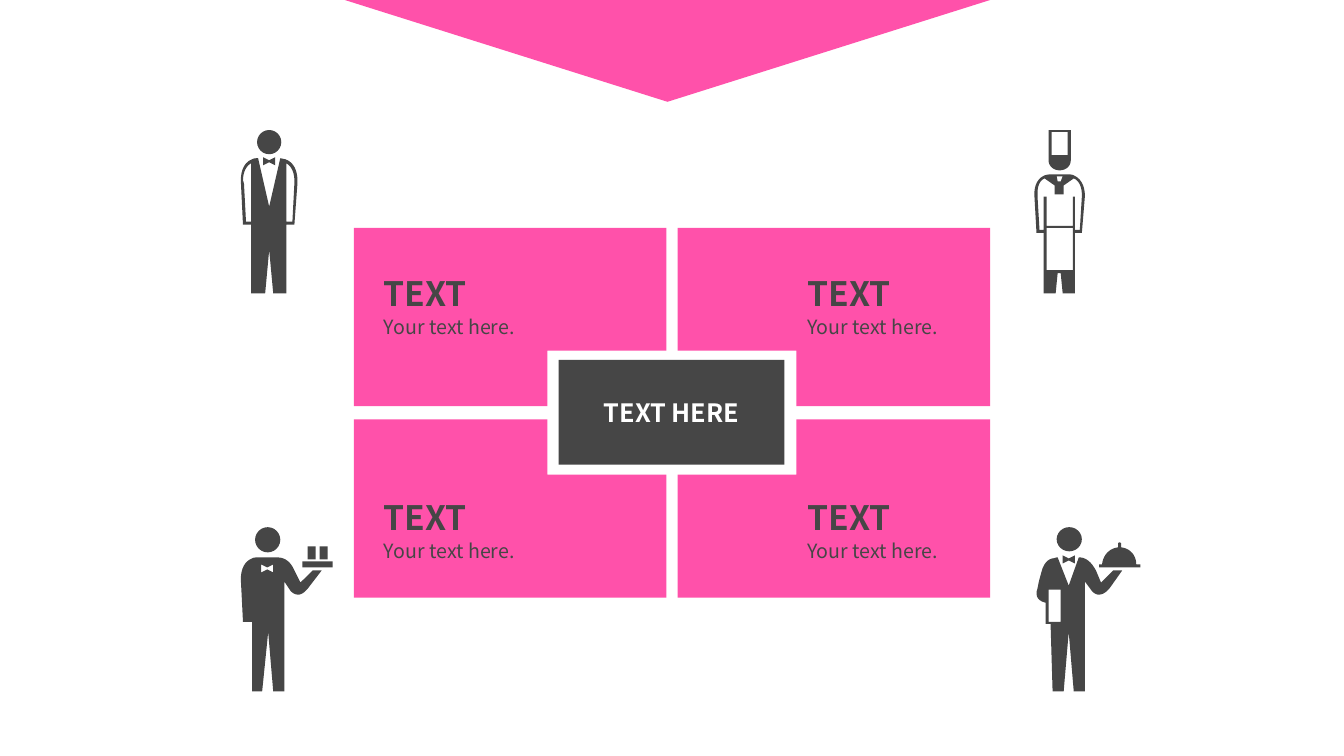
from dataclasses import dataclass
from pptx import Presentation
from pptx.dml.color import RGBColor
from pptx.enum.shapes import MSO_SHAPE as Preset
from pptx.enum.text import MSO_ANCHOR as Anchor, MSO_AUTO_SIZE as AutoSize, PP_ALIGN as Align
from pptx.util import Pt

PX = 9144
CURVE_STEPS = 10


@dataclass(frozen=True)
class Theme:
    pink: RGBColor = RGBColor(0xFF, 0x51, 0xAA)
    dark: RGBColor = RGBColor(0x46, 0x46, 0x46)
    white: RGBColor = RGBColor(0xFF, 0xFF, 0xFF)
    font: str = "Noto Sans CJK SC"
    heading: int = 24
    center: int = 18
    body: int = 14


THEME = Theme()

BOW_TIE = [(0, 0), (6, 3), (12, 0), (12, 8), (6, 5), (0, 8)]

WAITER_BODY = [
    [(46, 29), (41, 28), (30, 76), (19, 28), (17, 28, 15, 28, 13, 29),
     (0, 34, 2, 52, 2, 53), (4, 94), (12, 94), (12, 162), (26, 162), (30, 119),
     (34, 162), (47, 162), (47, 94), (55, 94), (58, 53), (58, 50), (58, 45, 57, 33, 46, 29)],
    [(7, 91), (5, 53), (4, 50), (4, 46, 5, 37, 12, 33), (12, 91)],
    [(55, 53), (53, 91), (47, 91), (47, 33), (54, 37, 55, 46, 55, 50)],
]

CHEF_HEAD = [
    [(38, 28), (38, 0), (16, 0), (16, 30), (16, 36, 21, 40, 27, 40), (33, 40, 38, 36, 38, 30)],
    [(19, 2), (35, 2), (35, 25), (19, 25)],
]
CHEF_BODY = [
    [(41, 45), (39, 44, 37, 44, 34, 44), (20, 44), (17, 44, 15, 44, 12, 45),
     (0, 50, 2, 66, 2, 66), (4, 102), (11, 102), (11, 162), (23, 162), (25, 142),
     (28, 142), (30, 162), (42, 162), (42, 102), (49, 102), (52, 66), (52, 66, 53, 50, 41, 45)],
    [(30, 46), (28, 51), (25, 51), (24, 46)],
    [(14, 139), (14, 97), (40, 97), (40, 139)],
    [(49, 66), (47, 99), (42, 99), (42, 66), (40, 66), (40, 95), (14, 95), (14, 66),
     (11, 66), (11, 99), (7, 99), (5, 66), (5, 64), (5, 60, 5, 51, 12, 48), (22, 55),
     (22, 64), (31, 64), (31, 55), (41, 48), (48, 51, 49, 60, 49, 64)],
]

BARTENDER_BODY = [
    [(73, 43), (61, 55), (55, 43), (50, 31, 42, 30, 37, 30), (21, 30),
     (17, 30, 15, 30, 13, 31), (0, 36, 2, 54, 2, 54), (4, 94), (13, 94), (13, 163),
     (23, 163), (29, 104), (34, 163), (45, 163), (45, 54), (51, 63),
     (51, 63, 54, 67, 59, 67), (64, 67, 69, 60, 69, 60), (82, 43)],
    [(x + 22, y + 37) for x, y in BOW_TIE],
]

BUTLER_BODY = [
    [(68, 55), (63, 43), (57, 32, 51, 30, 46, 30), (36, 58), (25, 30),
     (23, 30, 22, 31, 20, 31), (15, 32, 12, 36, 10, 41), (6, 54, 5, 61, 5, 61),
     (5, 61, 0, 72, 13, 75), (13, 96), (18, 96), (20, 163), (31, 163), (36, 104),
     (41, 163), (52, 163), (52, 54), (58, 62), (58, 62, 61, 67, 66, 67),
     (72, 67, 77, 60, 77, 60), (89, 43), (80, 43)],
    [(16, 62), (28, 62), (28, 94), (16, 94)],
]
DOME = [
    [(103, 37), (103, 28, 97, 21, 88, 20), (88, 16), (88, 16, 87, 15, 86, 15),
     (86, 15, 85, 16, 85, 16), (85, 20), (76, 21, 70, 28, 69, 37), (66, 37),
     (66, 40), (107, 40), (107, 37)],
]


def paint(shape, color):
    shape.shadow.inherit = False
    shape.fill.solid()
    shape.fill.fore_color.rgb = color
    shape.line.fill.background()
    return shape


def add_preset(shapes, preset, box, color):
    return paint(shapes.add_shape(preset, *(length * PX for length in box)), color)


def flatten(outline):
    points = []
    for node in outline:
        if len(node) == 2:
            points.append(node)
            continue
        ends = [points[-1], node[:2], node[2:4], node[4:]]
        for step in range(1, CURVE_STEPS + 1):
            t = step / CURVE_STEPS
            weights = ((1 - t) ** 3, 3 * t * (1 - t) ** 2, 3 * t * t * (1 - t), t ** 3)
            points.append(tuple(sum(w * end[axis] for w, end in zip(weights, ends))
                                for axis in (0, 1)))
    return points


def add_outline(shapes, origin, outlines, color):
    left, top = origin
    builder = None
    for outline in outlines:
        points = [((left + x) * PX, (top + y) * PX) for x, y in flatten(outline)]
        if builder is None:
            builder = shapes.build_freeform(*points[0], scale=1.0)
        else:
            builder.move_to(*points[0])
        builder.add_line_segments(points[1:], close=True)
    return paint(builder.convert_to_shape(), color)


def add_text(shape, text, size, color, bold=False):
    run = shape.text_frame.paragraphs[0].add_run()
    run.text = text
    run.font.name, run.font.size, run.font.bold = THEME.font, Pt(size), bold
    run.font.color.rgb = color


def add_label(shapes, box, text, size, bold):
    label = add_preset(shapes, Preset.RECTANGLE, box, THEME.pink)
    frame = label.text_frame
    frame.word_wrap = True
    frame.auto_size = AutoSize.SHAPE_TO_FIT_TEXT
    frame.vertical_anchor = Anchor.TOP
    frame.paragraphs[0].alignment = Align.LEFT
    add_text(label, text, size, THEME.dark, bold)


def add_banner(slide, box):
    add_preset(slide.shapes, Preset.ISOSCELES_TRIANGLE, box, THEME.pink).rotation = 180


def add_quadrants(slide, box):
    left, top, width, height = box
    tile_w, tile_h, notch_w, notch_h = 310, 177, 118, 55
    tile = [(0, 0), (tile_w, 0), (tile_w, tile_h - notch_h),
            (tile_w - notch_w, tile_h - notch_h), (tile_w - notch_w, tile_h), (0, tile_h)]
    for row, label_y in enumerate((40, 72)):
        for column, label_x in enumerate((20, 119)):
            x = left + column * (width - tile_w)
            y = top + row * (height - tile_h)
            corners = [(tile_w - px if column else px, tile_h - py if row else py)
                       for px, py in tile]
            add_outline(slide.shapes, (x, y), [corners], THEME.pink)
            labels = slide.shapes.add_group_shape().shapes
            x, y = x + label_x, y + label_y
            add_label(labels, (x, y + 42, 164, 34), "Your text here.", THEME.body, False)
            add_label(labels, (x, y, 135, 50), "TEXT", THEME.heading, True)


def add_center(slide, box):
    center = add_preset(slide.shapes, Preset.RECTANGLE, box, THEME.dark)
    frame = center.text_frame
    frame.word_wrap = False
    frame.vertical_anchor = Anchor.MIDDLE
    frame.margin_left = frame.margin_right = frame.margin_top = frame.margin_bottom = 5 * PX
    frame.paragraphs[0].alignment = Align.CENTER
    add_text(center, "TEXT HERE", THEME.center, THEME.white, True)


def add_figure(slide, origin, outlines, head=None, bow_tie=None, tray=()):
    left, top = origin
    parts = slide.shapes.add_group_shape().shapes
    if head:
        x, y, width, height = head
        add_preset(parts, Preset.OVAL, (left + x, top + y, width, height), THEME.dark)
    for outline in outlines:
        add_outline(parts, origin, outline, THEME.dark)
    if bow_tie:
        add_outline(parts, (left + bow_tie[0], top + bow_tie[1]), [BOW_TIE], THEME.dark)
    for x, y, width, height in tray:
        add_preset(parts, Preset.RECTANGLE, (left + x, top + y, width, height), THEME.dark)


def main():
    deck = Presentation()
    deck.slide_width, deck.slide_height = 1333 * PX, 750 * PX
    slide = deck.slides.add_slide(deck.slide_layouts[6])
    add_banner(slide, (342, 0, 640, 101))
    add_quadrants(slide, (351, 226, 631, 367))
    add_center(slide, (554, 357, 224, 104))
    add_figure(slide, (237, 129), [WAITER_BODY], head=(18, 0, 24, 24), bow_tie=(24, 27))
    add_figure(slide, (1024, 129), [CHEF_HEAD, CHEF_BODY])
    add_figure(slide, (237, 523), [BARTENDER_BODY], head=(16, 0, 25, 25),
               tray=[(68, 19, 8, 13), (80, 19, 8, 13), (63, 34, 30, 6)])
    add_figure(slide, (1024, 523), [BUTLER_BODY, DOME], head=(24, 0, 25, 24), bow_tie=(30, 28))
    deck.save("out.pptx")


if __name__ == "__main__":
    main()
